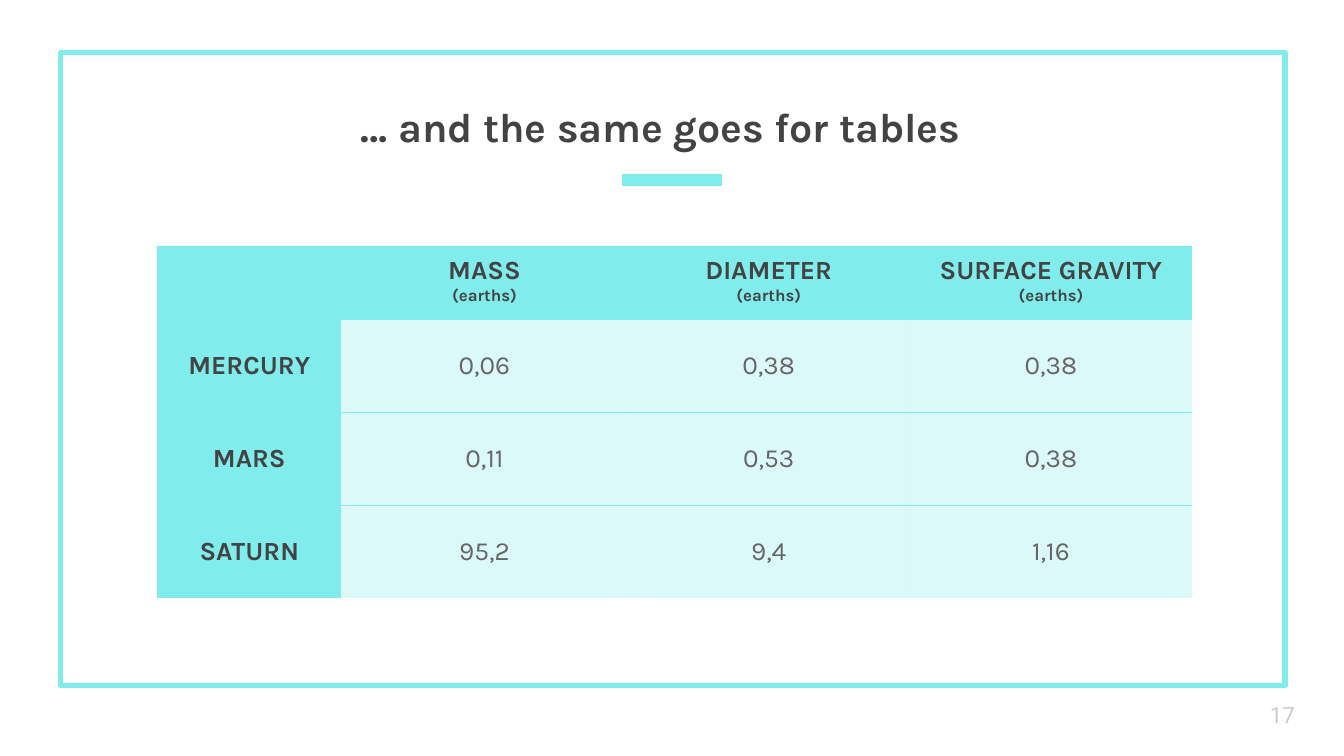
from lxml.etree import SubElement
from pptx import Presentation
from pptx.dml.color import RGBColor
from pptx.enum.shapes import MSO_CONNECTOR, MSO_SHAPE
from pptx.enum.text import MSO_ANCHOR as Anchor, PP_ALIGN as Align
from pptx.oxml import parse_xml
from pptx.oxml.ns import nsdecls, qn
from pptx.util import Inches, Pt

AQUA = RGBColor(0x81, 0xEC, 0xEC)
DARK = RGBColor(0x43, 0x43, 0x43)
GRAY = RGBColor(0x66, 0x66, 0x66)
LIGHT_GRAY = RGBColor(0xCC, 0xCC, 0xCC)

SLIDE_WIDTH = 10
SLIDE_HEIGHT = SLIDE_WIDTH * 9 / 16

TITLE = "… and the same goes for tables"
PAGE_NUMBER = "17"
UNIT = "(earths)"
MEASURES = ["MASS", "DIAMETER", "SURFACE GRAVITY"]
PLANETS = [
    ("MERCURY", ["0,06", "0,38", "0,38"]),
    ("MARS", ["0,11", "0,53", "0,38"]),
    ("SATURN", ["95,2", "9,4", "1,16"]),
]
COLUMN_WIDTHS = [1.37, 2.13, 2.1, 2.1]
ROW_HEIGHTS = [0.55] + [0.69] * len(PLANETS)
NO_GRID_STYLE = "{2D5ABB26-0587-4C30-8999-92F81FD0307C}"


def write(paragraph, text, size=14, color=DARK, bold=True, font="Karla", align=Align.CENTER):
    paragraph.alignment = align
    run = paragraph.add_run()
    run.text = text
    run.font.size = Pt(size)
    run.font.name = font
    run.font.bold = bold
    run.font.color.rgb = color


def set_insets(frame, inset=0.1):
    frame.margin_left = frame.margin_right = Inches(inset)
    frame.margin_top = frame.margin_bottom = Inches(inset)
    frame.word_wrap = True


def set_borders(cell, visible):
    properties = cell._tc.get_or_add_tcPr()
    for index, side in enumerate("LRTB"):
        paint = "<a:noFill/>"
        if side in visible:
            paint = f'<a:solidFill><a:srgbClr val="{AQUA}"/></a:solidFill>'
        border = parse_xml(f'<a:ln{side} {nsdecls("a")} w="{Pt(0.75)}">{paint}</a:ln{side}>')
        properties.insert(index, border)


def format_cell(cell, alpha=None, borders="", anchor=Anchor.MIDDLE):
    cell.vertical_anchor = anchor
    cell.margin_left = cell.margin_right = Inches(0.1)
    cell.margin_top = cell.margin_bottom = Inches(0.07)
    cell.fill.solid()
    cell.fill.fore_color.rgb = AQUA
    if alpha:
        color = cell._tc.tcPr.find(".//" + qn("a:srgbClr"))
        SubElement(color, qn("a:alpha"), val=str(alpha * 1000))
    set_borders(cell, borders)


def add_frame(slide):
    frame = slide.shapes.add_shape(
        MSO_SHAPE.RECTANGLE, Inches(0.45), Inches(0.39), Inches(9.11), Inches(4.71))
    frame.shadow.inherit = False
    frame.fill.background()
    frame.line.color.rgb = AQUA
    frame.line.width = Pt(3)
    SubElement(frame.line._get_or_add_ln(), qn("a:round"))


def add_title_rule(slide):
    rule = slide.shapes.add_connector(
        MSO_CONNECTOR.STRAIGHT, Inches(4.63), Inches(1.34), Inches(5.37), Inches(1.34))
    rule.line.color.rgb = AQUA
    rule.line.width = Pt(6)
    SubElement(rule._element.spPr, qn("a:effectLst"))


def add_planet_table(slide):
    graphic = slide.shapes.add_table(
        len(ROW_HEIGHTS), len(COLUMN_WIDTHS), Inches(1.17), Inches(1.83),
        Inches(sum(COLUMN_WIDTHS)), Inches(sum(ROW_HEIGHTS)))
    table = graphic.table
    table.horz_banding = table.first_row = False
    graphic._element.find(".//" + qn("a:tableStyleId")).text = NO_GRID_STYLE
    for column, width in zip(table.columns, COLUMN_WIDTHS):
        column.width = Inches(width)
    for row, height in zip(table.rows, ROW_HEIGHTS):
        row.height = Inches(height)

    format_cell(table.cell(0, 0), anchor=Anchor.TOP)
    for column, measure in enumerate(MEASURES, 1):
        cell = table.cell(0, column)
        format_cell(cell, anchor=Anchor.TOP)
        write(cell.text_frame.paragraphs[0], measure)
        write(cell.text_frame.add_paragraph(), UNIT, size=9)

    for row, (planet, values) in enumerate(PLANETS, 1):
        borders = ("T" if row > 1 else "") + ("B" if row < len(PLANETS) else "")
        name_cell = table.cell(row, 0)
        format_cell(name_cell)
        write(name_cell.text_frame.paragraphs[0], planet)
        for column, value in enumerate(values, 1):
            cell = table.cell(row, column)
            format_cell(cell, alpha=28, borders=borders)
            write(cell.text_frame.paragraphs[0], value, color=GRAY, bold=False)


def add_title(slide):
    title = slide.shapes.title
    title.left, title.top = Inches(1.29), Inches(0.62)
    title.width, title.height = Inches(7.25), Inches(0.6)
    set_insets(title.text_frame)
    title.text_frame.vertical_anchor = Anchor.BOTTOM
    write(title.text_frame.paragraphs[0], TITLE, size=22)


def add_page_number(slide):
    box = slide.shapes.add_textbox(Inches(9.35), Inches(5.1), Inches(0.6), Inches(0.43))
    set_insets(box.text_frame)
    box.text_frame.vertical_anchor = Anchor.MIDDLE
    write(box.text_frame.paragraphs[0], PAGE_NUMBER, size=12, color=LIGHT_GRAY,
          bold=False, font="Roboto", align=Align.LEFT)


def main():
    presentation = Presentation()
    presentation.slide_width = Inches(SLIDE_WIDTH)
    presentation.slide_height = Inches(SLIDE_HEIGHT)
    slide = presentation.slides.add_slide(presentation.slide_layouts.get_by_name("Title Only"))
    add_frame(slide)
    add_title_rule(slide)
    add_planet_table(slide)
    add_title(slide)
    add_page_number(slide)
    presentation.save("out.pptx")


if __name__ == "__main__":
    main()
